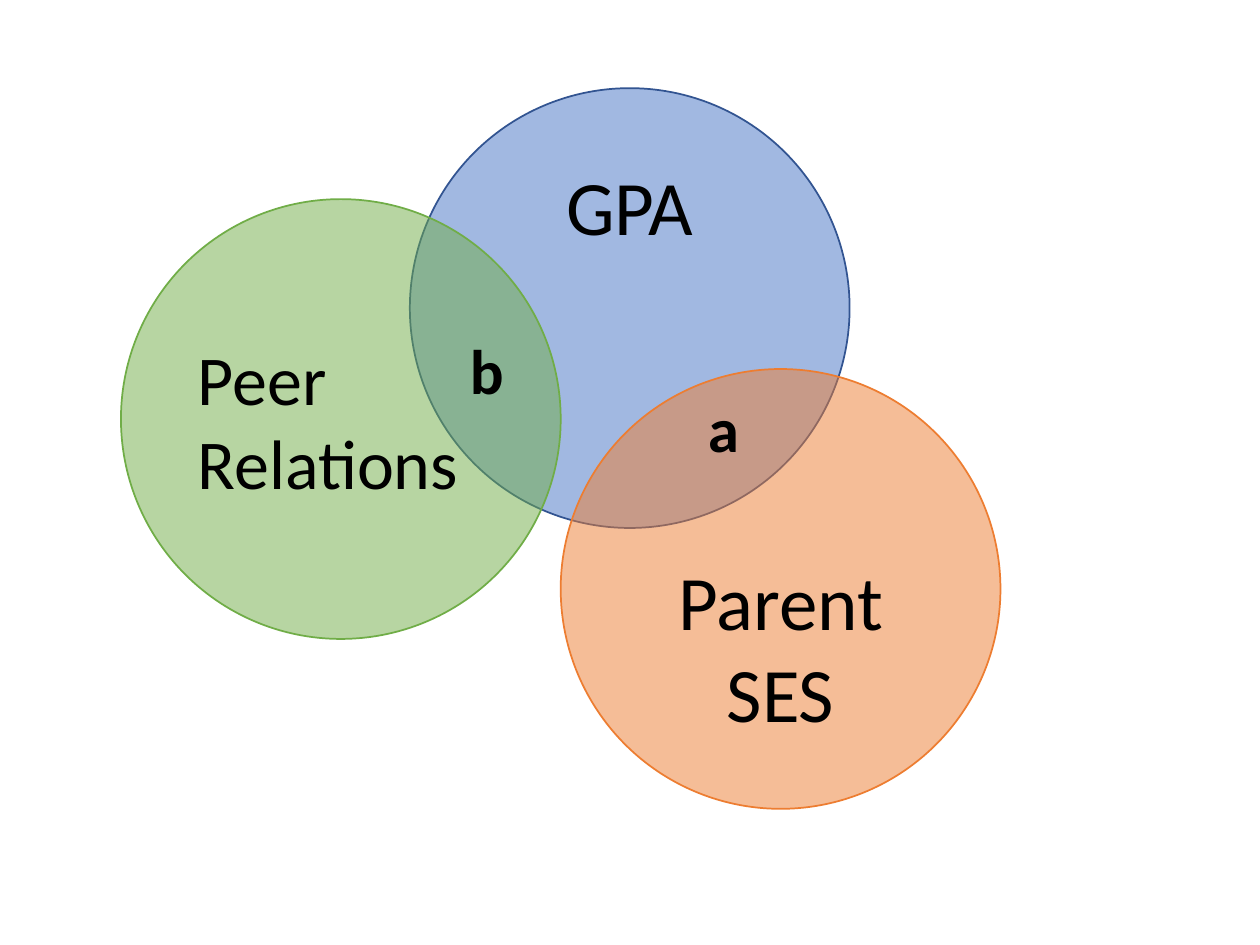
from dataclasses import dataclass

from lxml import etree
from pptx import Presentation
from pptx.dml.color import RGBColor
from pptx.enum.shapes import MSO_SHAPE
from pptx.enum.text import MSO_ANCHOR, MSO_AUTO_SIZE, PP_ALIGN
from pptx.oxml.ns import qn
from pptx.util import Pt

OVAL = MSO_SHAPE.OVAL
TOP, MIDDLE, BOTTOM = MSO_ANCHOR.TOP, MSO_ANCHOR.MIDDLE, MSO_ANCHOR.BOTTOM
LEFT, CENTER = PP_ALIGN.LEFT, PP_ALIGN.CENTER
FIT_SHAPE = MSO_AUTO_SIZE.SHAPE_TO_FIT_TEXT


@dataclass(frozen=True)
class Theme:
    font: str = "Calibri"
    text: str = "000000"
    blue: str = "4472C4"
    dark_blue: str = "325491"
    orange: str = "ED7D31"
    green: str = "70AD47"
    large: int = 44
    medium: int = 40
    overlap: int = 36


THEME = Theme()
DIAMETER = 251.3


def write(shape, text, size, alignment=LEFT, bold=False):
    shape.text_frame.text = text
    paragraph = shape.text_frame.paragraphs[0]
    paragraph.alignment = alignment
    font = paragraph.runs[0].font
    font.name = THEME.font
    font.size = Pt(size)
    font.bold = bold
    font.color.rgb = RGBColor.from_string(THEME.text)


presentation = Presentation()
presentation.slide_width = Pt(720)
presentation.slide_height = Pt(540)
slide = presentation.slides.add_slide(presentation.slide_layouts[6])

circles = [
    ("GPA", 234.2, 50.4, THEME.blue, THEME.dark_blue, THEME.large, TOP, CENTER),
    ("Parent SES", 320.4, 210.9, THEME.orange, THEME.orange, THEME.large, BOTTOM, CENTER),
    ("Peer Relations", 69.1, 113.8, THEME.green, THEME.green, THEME.medium, MIDDLE, LEFT),
]
for label, left, top, fill, outline, size, anchor, alignment in circles:
    circle = slide.shapes.add_shape(OVAL, Pt(left), Pt(top), Pt(DIAMETER), Pt(DIAMETER))
    circle.shadow.inherit = False
    circle.fill.solid()
    circle.fill.fore_color.rgb = RGBColor.from_string(fill)
    color = circle.fill._xPr.find(qn("a:solidFill"))[0]
    etree.SubElement(color, qn("a:alpha"), val="50000")
    circle.line.color.rgb = RGBColor.from_string(outline)
    circle.line.width = Pt(1)
    circle.text_frame.word_wrap = True
    circle.text_frame.vertical_anchor = anchor
    write(circle, label, size, alignment)

overlaps = [("a", 397.4, 218.9, 32.4), ("b", 261.4, 185.8, 33.8)]
for label, left, top, width in overlaps:
    box = slide.shapes.add_textbox(Pt(left), Pt(top), Pt(width), Pt(51))
    box.text_frame.word_wrap = False
    box.text_frame.auto_size = FIT_SHAPE
    write(box, label, THEME.overlap, bold=True)

presentation.save("out.pptx")
